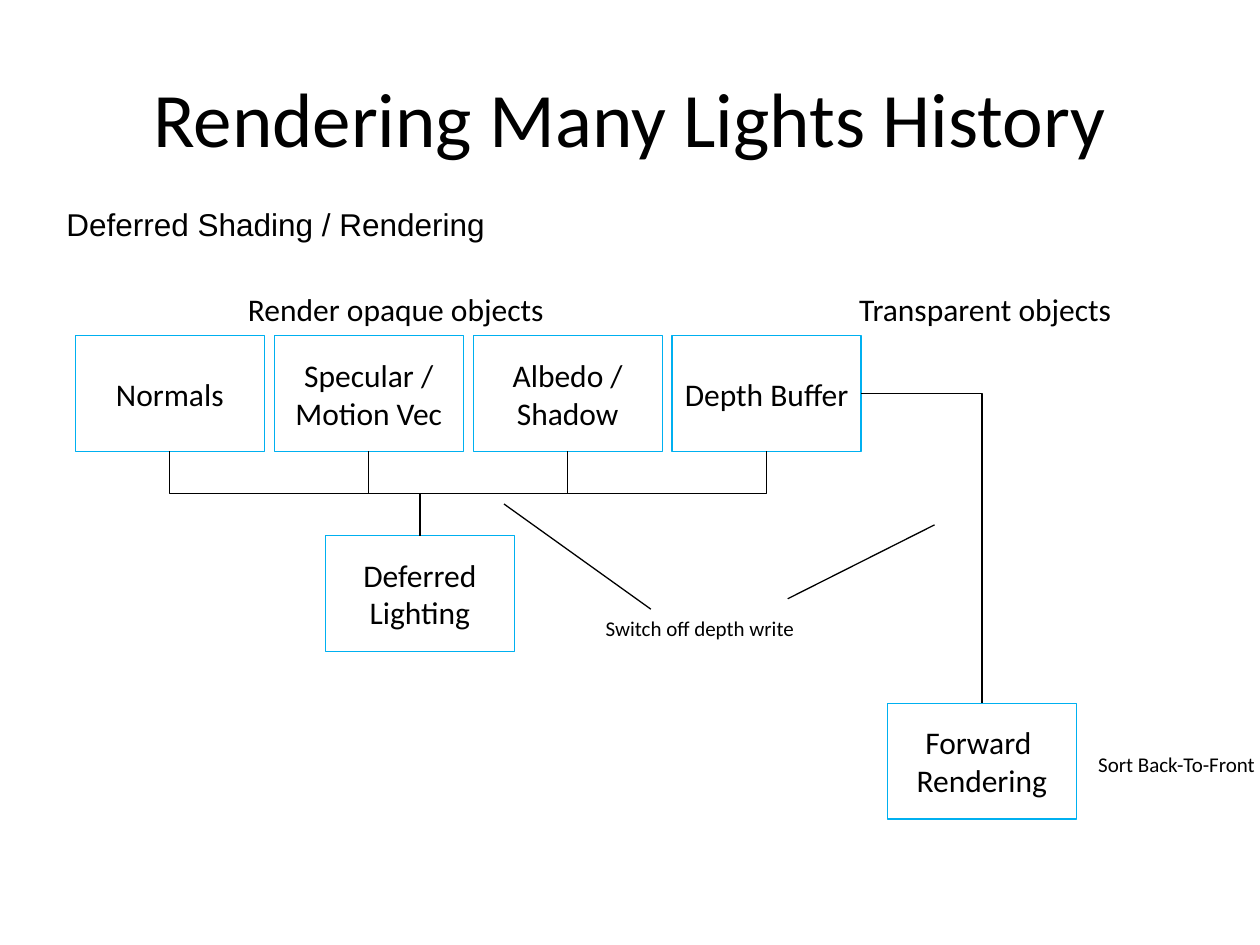
from dataclasses import dataclass

from lxml import etree
from pptx import Presentation
from pptx.dml.color import RGBColor
from pptx.enum import shapes, text
from pptx.oxml import ns
from pptx.util import Cm, Pt

BLACK = RGBColor(0x00, 0x00, 0x00)
SKY_BLUE = RGBColor(0x00, 0xB0, 0xF0)

BOX_WIDTH, BOX_HEIGHT = 3.81, 2.33
BUFFER_LEFT, BUFFER_TOP, BUFFER_PITCH = 1.52, 6.77, 4.01


@dataclass(frozen=True)
class Box:
    """A pipeline stage; lengths in centimetres."""
    label: str
    left: float
    top: float

    @property
    def center_x(self) -> float:
        return self.left + BOX_WIDTH / 2

    @property
    def center_y(self) -> float:
        return self.top + BOX_HEIGHT / 2

    @property
    def right(self) -> float:
        return self.left + BOX_WIDTH

    @property
    def bottom(self) -> float:
        return self.top + BOX_HEIGHT


@dataclass(frozen=True)
class Caption:
    words: str
    left: float
    top: float
    width: float
    height: float
    size: int = 18
    font: str = "Calibri"


BUFFERS = [
    Box(label, BUFFER_LEFT + i * BUFFER_PITCH, BUFFER_TOP)
    for i, label in enumerate(
        ["Normals", "Specular /\nMotion Vec", "Albedo /\nShadow", "Depth Buffer"])
]
LIGHTING = Box("Deferred\nLighting", 6.56, 10.8)
FORWARD = Box("Forward \nRendering", 17.89, 14.18)

CAPTIONS = [
    Caption("Deferred Shading / Rendering", 1.09, 4.01, 8.94, 1.02, font="Arial"),
    Caption("Render opaque objects", 4.75, 5.72, 6.48, 1.02),
    Caption("Transparent objects", 17.07, 5.72, 5.64, 1.02),
    Caption("Switch off depth write", 11.96, 12.28, 4.32, 0.76, size=12),
    Caption("Sort Back-To-Front", 21.89, 15.03, 3.73, 0.76, size=12),
]
DEPTH_WRITE_POINTERS = [
    (10.16, 10.16, 13.12, 12.28),
    (15.88, 12.07, 18.84, 10.58),
]


def write(paragraph, words: str, size: int, font: str = "Calibri") -> None:
    """Add one run per line, with line breaks between."""
    for i, line in enumerate(words.split("\n")):
        if i:
            paragraph.add_line_break()
        run = paragraph.add_run()
        run.text = line
        run.font.size = Pt(size)
        run.font.name = font
        run.font.color.rgb = BLACK


def add_title(slide, words: str) -> None:
    title = slide.shapes.title
    title.left, title.top = Cm(1.27), Cm(0.76)
    title.width, title.height = Cm(22.86), Cm(3.18)
    title.text_frame.vertical_anchor = text.MSO_ANCHOR.MIDDLE
    paragraph = title.text_frame.paragraphs[0]
    paragraph.alignment = text.PP_ALIGN.CENTER
    write(paragraph, words, 44)


def add_caption(slide, caption: Caption) -> None:
    frame = slide.shapes.add_textbox(
        Cm(caption.left), Cm(caption.top),
        Cm(caption.width), Cm(caption.height)).text_frame
    frame.word_wrap = False
    frame.auto_size = text.MSO_AUTO_SIZE.SHAPE_TO_FIT_TEXT
    write(frame.paragraphs[0], caption.words, caption.size, caption.font)


def add_box(slide, box: Box) -> None:
    rectangle = slide.shapes.add_shape(
        shapes.MSO_SHAPE.RECTANGLE, Cm(box.left), Cm(box.top),
        Cm(BOX_WIDTH), Cm(BOX_HEIGHT))
    rectangle.shadow.inherit = False
    rectangle.fill.background()
    rectangle.line.color.rgb = SKY_BLUE
    rectangle.line.width = Pt(0.75)
    frame = rectangle.text_frame
    frame.word_wrap = False
    frame.vertical_anchor = text.MSO_ANCHOR.MIDDLE
    paragraph = frame.paragraphs[0]
    paragraph.alignment = text.PP_ALIGN.CENTER
    write(paragraph, box.label, 18)


def add_line(slide, x1: float, y1: float, x2: float, y2: float,
             kind=shapes.MSO_CONNECTOR.STRAIGHT):
    line = slide.shapes.add_connector(kind, Cm(x1), Cm(y1), Cm(x2), Cm(y2))
    line.line.color.rgb = BLACK
    line.line.width = Pt(0.75)
    etree.SubElement(line._element.spPr, ns.qn("a:effectLst"))
    return line


def add_drop(slide, source: Box, target: Box) -> None:
    """Join two boxes by an elbow that runs down, across and down again."""
    x1, y1, x2, y2 = source.center_x, source.bottom, target.center_x, target.top
    middle_x, middle_y = (x1 + x2) / 2, (y1 + y2) / 2
    half_run, half_drop = abs(x2 - x1) / 2, (y2 - y1) / 2
    # The elbow is laid out sideways around its centre, then turned upright.
    elbow = add_line(slide, middle_x - half_drop, middle_y - half_run,
                     middle_x + half_drop, middle_y + half_run,
                     shapes.MSO_CONNECTOR.ELBOW)
    frame = elbow._element.spPr.find(ns.qn("a:xfrm"))
    if x2 < x1:
        frame.set("rot", str(90 * 60000))
    else:
        frame.set("rot", str(270 * 60000))
        frame.set("flipH", "1")


def add_corner(slide, source: Box, target: Box) -> None:
    """Join two boxes by a line that runs right and then down."""
    corner = add_line(slide, source.right, source.center_y,
                      target.center_x, target.top, shapes.MSO_CONNECTOR.ELBOW)
    geometry = corner._element.spPr.find(ns.qn("a:prstGeom"))
    geometry.set("prst", "bentConnector2")


def main() -> None:
    presentation = Presentation()
    presentation.slide_width, presentation.slide_height = Cm(25.4), Cm(19.05)
    slide = presentation.slides.add_slide(presentation.slide_layouts[5])

    add_title(slide, "Rendering Many Lights History")
    for box in [*BUFFERS, LIGHTING, FORWARD]:
        add_box(slide, box)
    for buffer in BUFFERS:
        add_drop(slide, buffer, LIGHTING)
    add_corner(slide, BUFFERS[-1], FORWARD)
    for pointer in DEPTH_WRITE_POINTERS:
        add_line(slide, *pointer)
    for caption in CAPTIONS:
        add_caption(slide, caption)

    presentation.save("out.pptx")


if __name__ == "__main__":
    main()
